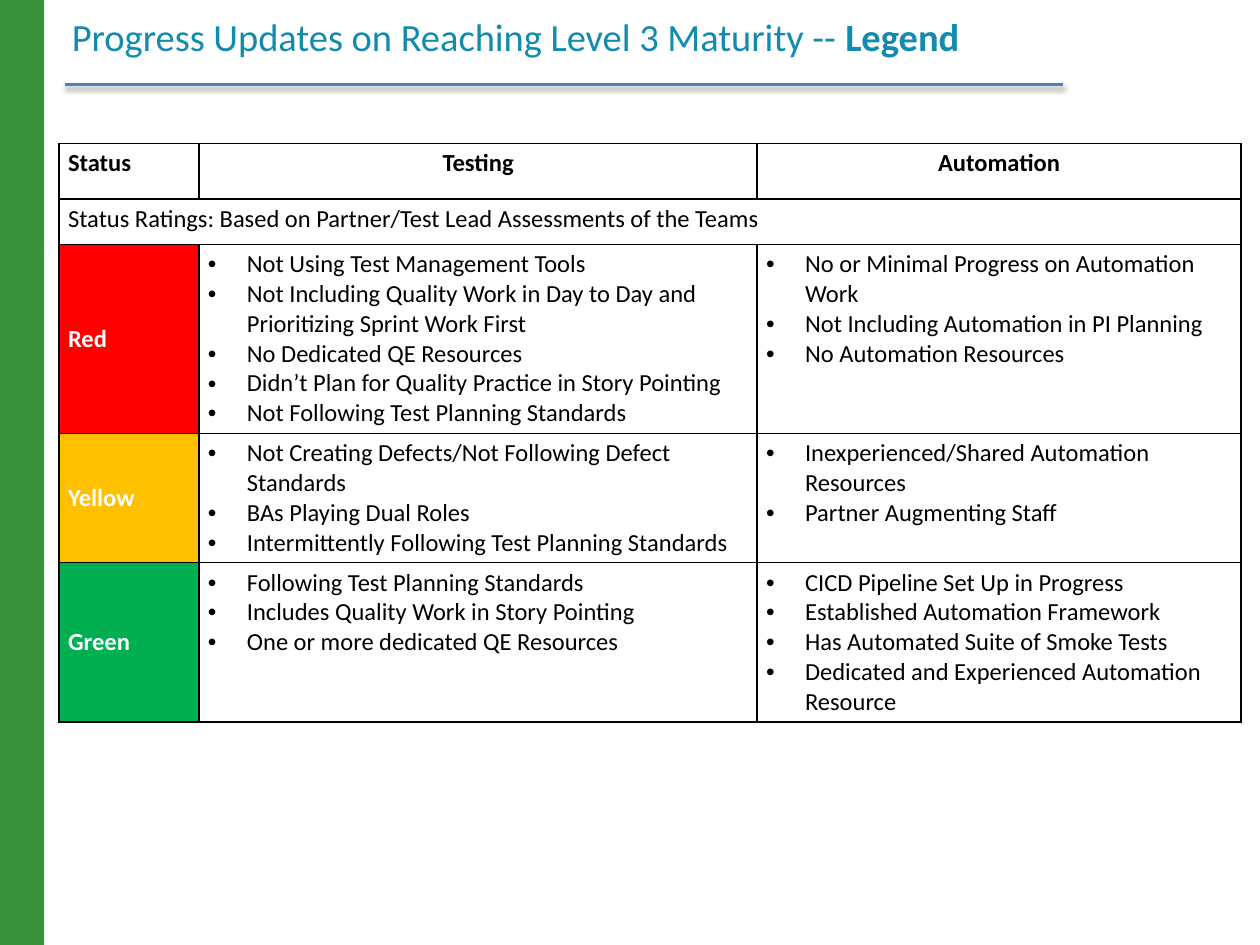
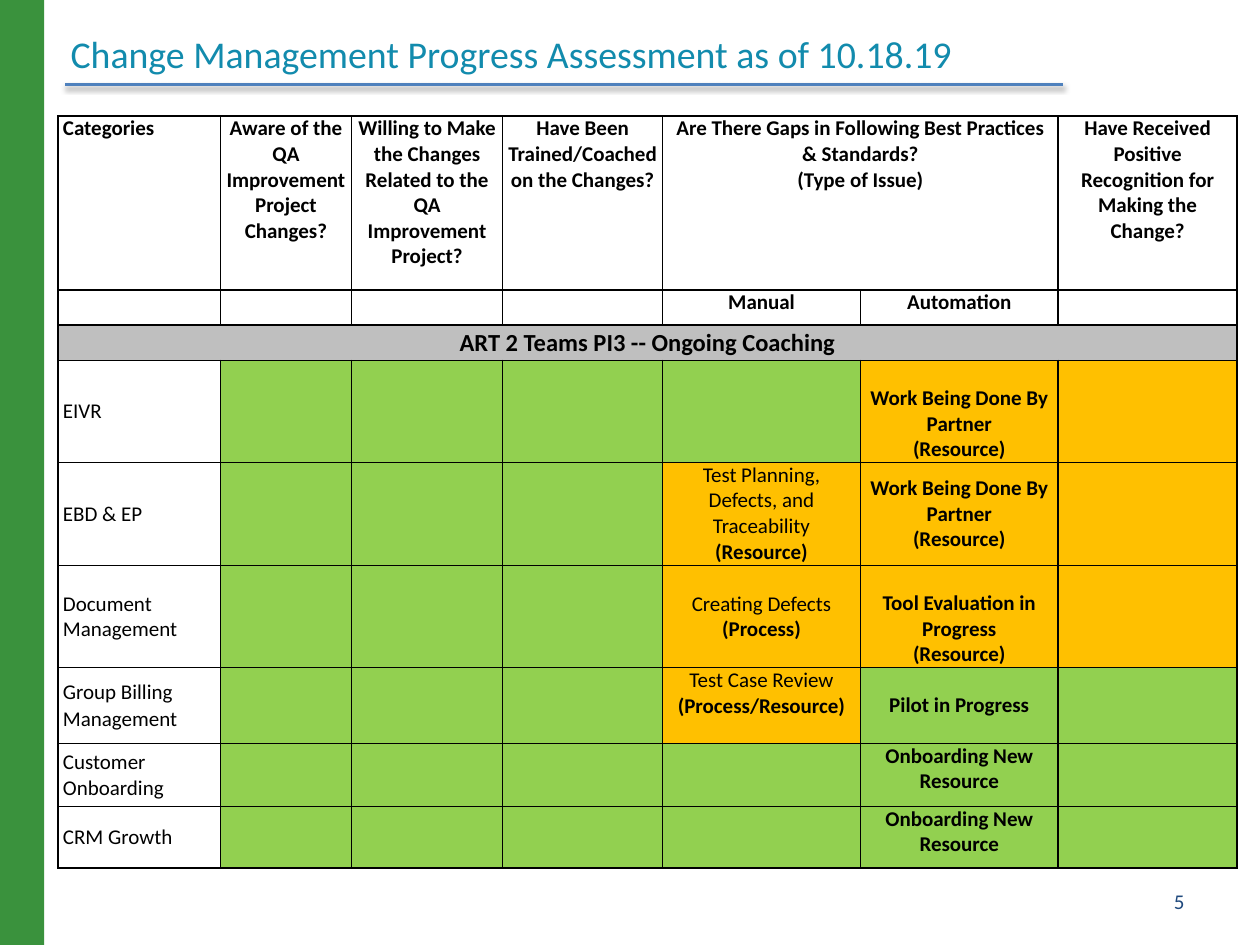
import dataclasses
import lxml.etree
import pptx
import pptx.dml.color
import pptx.enum.shapes
import pptx.enum.text
import pptx.oxml.ns
import pptx.util

Inches = pptx.util.Inches
Pt = pptx.util.Pt
Align = pptx.enum.text.PP_ALIGN
Anchor = pptx.enum.text.MSO_ANCHOR
qn = pptx.oxml.ns.qn


@dataclasses.dataclass(frozen=True)
class Theme:
    """Colours, font and type sizes of the deck."""
    font: str = "Calibri"
    band: str = "3A923D"
    rule: str = "4F81BD"
    title: str = "128BAD"
    number: str = "1F497D"
    ink: str = "000000"
    paper: str = "FFFFFF"
    heading: str = "BFBFBF"
    red: str = "FF0000"
    amber: str = "FFC000"
    green: str = "00B050"
    light_green: str = "92D050"
    title_size: float = 22
    large: float = 14
    small: float = 12


@dataclasses.dataclass(frozen=True)
class Box:
    """A region of the slide in inches."""
    left: float
    top: float
    width: float
    height: float

    def lengths(self):
        """Return left, top, width and height as lengths."""
        return [Inches(side) for side in dataclasses.astuple(self)]


THEME = Theme()


def colour(code):
    """Turn a hex code into a colour."""
    return pptx.dml.color.RGBColor.from_string(code)


def add_element(parent, tag, **attributes):
    """Append a drawing element to a parent."""
    return lxml.etree.SubElement(parent, qn(tag), attributes)


def add_span(para, text, size, code=THEME.ink, bold=False):
    """Add one formatted run."""
    span = para.add_run()
    span.text = text
    span.font.name = THEME.font
    span.font.size = Pt(size)
    span.font.bold = bold
    span.font.color.rgb = colour(code)


def add_bullet(para):
    """Give a paragraph a hanging round bullet."""
    props = para._p.get_or_add_pPr()
    props.set("marL", str(Inches(0.31)))
    props.set("indent", str(-Inches(0.31)))
    add_element(props, "a:buFont", typeface="Arial")
    add_element(props, "a:buChar", char="•")


def decorate_master(deck, page, box):
    """Place the side band and the title rule on the master."""
    band = page.shapes.add_shape(pptx.enum.shapes.MSO_SHAPE.RECTANGLE,
                                 *Box(box.left, box.top, 0.35, box.height).lengths())
    band.shadow.inherit = False
    band.fill.solid()
    band.fill.fore_color.rgb = colour(THEME.band)
    band.line.fill.background()
    height = Inches(box.top + 0.67)
    rule = page.shapes.add_connector(pptx.enum.shapes.MSO_CONNECTOR.STRAIGHT,
                                     Inches(box.left + 0.52), height,
                                     Inches(box.left + 8.44), height)
    rule.line.color.rgb = colour(THEME.rule)
    rule.line.width = Pt(2)
    effects = add_element(rule._element.spPr, "a:effectLst")
    shadow = add_element(effects, "a:outerShdw", blurRad=str(Pt(3.1)), dist=str(Pt(1.6)),
                         dir="5400000", rotWithShape="0")
    add_element(add_element(shadow, "a:srgbClr", val=THEME.ink), "a:alpha", val="38000")
    tree = deck.slide_master.shapes._spTree
    for position, shape in enumerate((band, rule), start=2):
        tree.insert(position, shape._element)


def set_title(page, box, spans, size=THEME.title_size):
    """Fill the title placeholder with (text, bold) spans."""
    title = page.shapes.title
    title.left, title.top, title.width, title.height = box.lengths()
    frame = title.text_frame
    frame.auto_size = pptx.enum.text.MSO_AUTO_SIZE.NONE
    frame.vertical_anchor = Anchor.BOTTOM
    para = frame.paragraphs[0]
    para.alignment = Align.LEFT
    for text, bold in spans:
        add_span(para, text, size, THEME.title, bold)


def add_grid(page, box, columns, rows):
    """Add a plain table with the given column widths and row heights."""
    table = page.shapes.add_table(len(rows), len(columns), *box.lengths()).table
    table.first_row = table.horz_banding = False
    for column, width in zip(table.columns, columns):
        column.width = Inches(width)
    for row, height in zip(table.rows, rows):
        row.height = Inches(height)
    return table


def fill_cell(cell, paras=(), fill=THEME.paper, size=THEME.small, code=THEME.ink,
              align=Align.LEFT, anchor=Anchor.TOP, inset=(0.04, 0), drop=0,
              spacing=None, bullets=False):
    """Format a cell and write paragraphs of (text, bold) spans."""
    props = cell._tc.get_or_add_tcPr()
    for edge in ("a:lnL", "a:lnR", "a:lnT", "a:lnB"):
        line = add_element(props, edge, w=str(Pt(1)))
        add_element(add_element(line, "a:solidFill"), "a:srgbClr", val=THEME.ink)
    cell.fill.solid()
    cell.fill.fore_color.rgb = colour(fill)
    cell.vertical_anchor = anchor
    cell.margin_left = cell.margin_right = Inches(inset[0])
    cell.margin_top = Inches(inset[1] + drop)
    cell.margin_bottom = Inches(inset[1])
    frame = cell.text_frame
    if not paras:
        add_element(frame.paragraphs[0]._p, "a:endParaRPr", sz=str(size * 100))
    for index, spans in enumerate(paras):
        para = frame.add_paragraph() if index else frame.paragraphs[0]
        para.alignment = align
        if spacing:
            para.line_spacing = spacing
        if bullets:
            add_bullet(para)
        for text, bold in spans:
            add_span(para, text, size, code, bold)


def lines(*texts, bold=False):
    """Make one single-span paragraph from each text."""
    return [[(text, bold)] for text in texts]


def legend_table(page, box):
    """Place the table that explains the status ratings."""
    ratings = [
        ("Red", THEME.red,
         ["Not Using Test Management Tools",
          "Not Including Quality Work in Day to Day and Prioritizing Sprint Work First",
          "No Dedicated QE Resources",
          "Didn’t Plan for Quality Practice in Story Pointing",
          "Not Following Test Planning Standards"],
         ["No or Minimal Progress on Automation Work",
          "Not Including Automation in PI Planning",
          "No Automation Resources"]),
        ("Yellow", THEME.amber,
         ["Not Creating Defects/Not Following Defect Standards",
          "BAs Playing Dual Roles",
          "Intermittently Following Test Planning Standards"],
         ["Inexperienced/Shared Automation Resources",
          "Partner Augmenting Staff"]),
        ("Green", THEME.green,
         ["Following Test Planning Standards",
          "Includes Quality Work in Story Pointing",
          "One or more dedicated QE Resources"],
         ["CICD Pipeline Set Up in Progress",
          "Established Automation Framework",
          "Has Automated Suite of Smoke Tests",
          "Dedicated and Experienced Automation Resource"]),
    ]
    style = dict(size=THEME.large, inset=(0.07, 0.04))
    table = add_grid(page, box, [1.11, 4.43, 3.84], [0.44, 0.36, 1.49, 1.02, 1.26])
    for column, text in enumerate(("Status", "Testing", "Automation")):
        fill_cell(table.cell(0, column), lines(text, bold=True),
                  align=Align.CENTER if column else Align.LEFT, **style)
    note = "Status Ratings: Based on Partner/Test Lead Assessments of the Teams"
    for column in range(3):
        fill_cell(table.cell(1, column), [] if column else lines(note), **style)
    table.cell(1, 0).merge(table.cell(1, 2))
    for row, (status, fill, *lists) in enumerate(ratings, start=2):
        fill_cell(table.cell(row, 0), lines(status, bold=True), fill,
                  code=THEME.paper, anchor=Anchor.MIDDLE, **style)
        for column, items in enumerate(lists, start=1):
            fill_cell(table.cell(row, column), lines(*items), bullets=True, **style)


def assessment_header(table):
    """Write the three heading rows of the assessment table."""
    questions = [
        ["Categories"],
        ["Aware of the QA Improvement Project Changes?"],
        ["Willing to Make the Changes Related to the QA Improvement Project?"],
        ["Have Been Trained/Coached on the Changes?"],
        ["Are There Gaps in Following Best Practices & Standards?", "(Type of Issue)"],
        [],
        ["Have Received Positive Recognition for Making the Change?"],
    ]
    kinds = {4: ["Manual"], 5: ["Automation"]}
    section = "ART 2 Teams PI3 -- Ongoing Coaching"
    for column, texts in enumerate(questions):
        fill_cell(table.cell(0, column), lines(*texts, bold=True),
                  align=Align.CENTER if column else Align.LEFT)
        fill_cell(table.cell(1, column), lines(*kinds.get(column, []), bold=True),
                  align=Align.CENTER)
        fill_cell(table.cell(2, column), [] if column else lines(section, bold=True),
                  THEME.heading, THEME.large, align=Align.CENTER, anchor=Anchor.MIDDLE)
    table.cell(0, 4).merge(table.cell(0, 5))
    table.cell(2, 0).merge(table.cell(2, 6))


def assessment_table(page, box):
    """Place the table that rates each team."""
    amber, green = THEME.amber, THEME.light_green
    middle, top = Anchor.MIDDLE, Anchor.TOP
    vendor = lines("Work Being Done By Partner", "(Resource)", bold=True)
    tool = lines("Tool Evaluation in Progress", "(Resource)", bold=True)
    planning = [[("Test Planning, Defects, and Traceability ", False), ("(Resource)", True)]]
    defects = lines("Creating Defects") + lines("(Process)", bold=True)
    review = lines("Test Case Review") + lines("(Process/Resource)", bold=True)
    pilot = lines("Pilot in Progress", bold=True)
    onboarding = lines("Onboarding New Resource", bold=True)
    blank = ([], green, top, 0)
    teams = [
        ("EIVR", None, blank, (vendor, amber, middle, 0.2)),
        ("EBD & EP", None, (planning, amber, top, 0), (vendor, amber, middle, 0)),
        ("Document Management", None, (defects, amber, middle, 0), (tool, amber, top, 0.2)),
        ("Group Billing Management", 1.05, (review, amber, top, 0), (pilot, green, middle, 0)),
        ("Customer Onboarding", 1.05, blank, (onboarding, green, top, 0)),
        ("CRM Growth", 1.05, blank, (onboarding, green, top, 0)),
    ]
    table = add_grid(page, box, [1.29, 1.04, 1.2, 1.27, 1.57, 1.57, 1.42],
                     [1.38, 0.28, 0.28, 0.81, 0.82, 0.81, 0.6, 0.5, 0.49])
    assessment_header(table)
    for row, (team, spacing, manual, automation) in enumerate(teams, start=3):
        fill_cell(table.cell(row, 0), lines(team), anchor=middle, spacing=spacing)
        recognition = ([], automation[1], top, 0)
        ratings = [blank] * 3 + [manual, automation, recognition]
        for column, (paras, fill, anchor, drop) in enumerate(ratings, start=1):
            fill_cell(table.cell(row, column), paras, fill, align=Align.CENTER,
                      anchor=anchor, drop=drop)


def page_number(page, box, text):
    """Place the page number in its box."""
    frame = page.shapes.add_textbox(*box.lengths()).text_frame
    frame.word_wrap = True
    frame.vertical_anchor = Anchor.MIDDLE
    para = frame.paragraphs[0]
    para.alignment = Align.RIGHT
    add_span(para, text, THEME.small, THEME.number)


def build():
    """Build and save the deck."""
    deck = pptx.Presentation()
    deck.slide_width, deck.slide_height = Inches(10), Inches(7.5)
    layout = deck.slide_layouts.get_by_name("Title Only")

    legend = deck.slides.add_slide(layout)
    decorate_master(deck, legend, Box(0, 0, 10, 7.5))
    set_title(legend, Box(0.47, 0.11, 8.72, 0.41),
              [("Progress Updates on Reaching Level 3 Maturity -- ", False), ("Legend", True)])
    legend_table(legend, Box(0.47, 1.14, 9.38, 4.57))

    assessment = deck.slides.add_slide(layout)
    set_title(assessment, Box(0.46, 0.31, 8.72, 0.34),
              [("Change Management Progress Assessment as of 10.18.19", False)], 21.6)
    assessment_table(assessment, Box(0.46, 0.92, 9.36, 5.97))
    page_number(assessment, Box(7.17, 6.95, 2.33, 0.4), "5")
    deck.save("out.pptx")


build()
